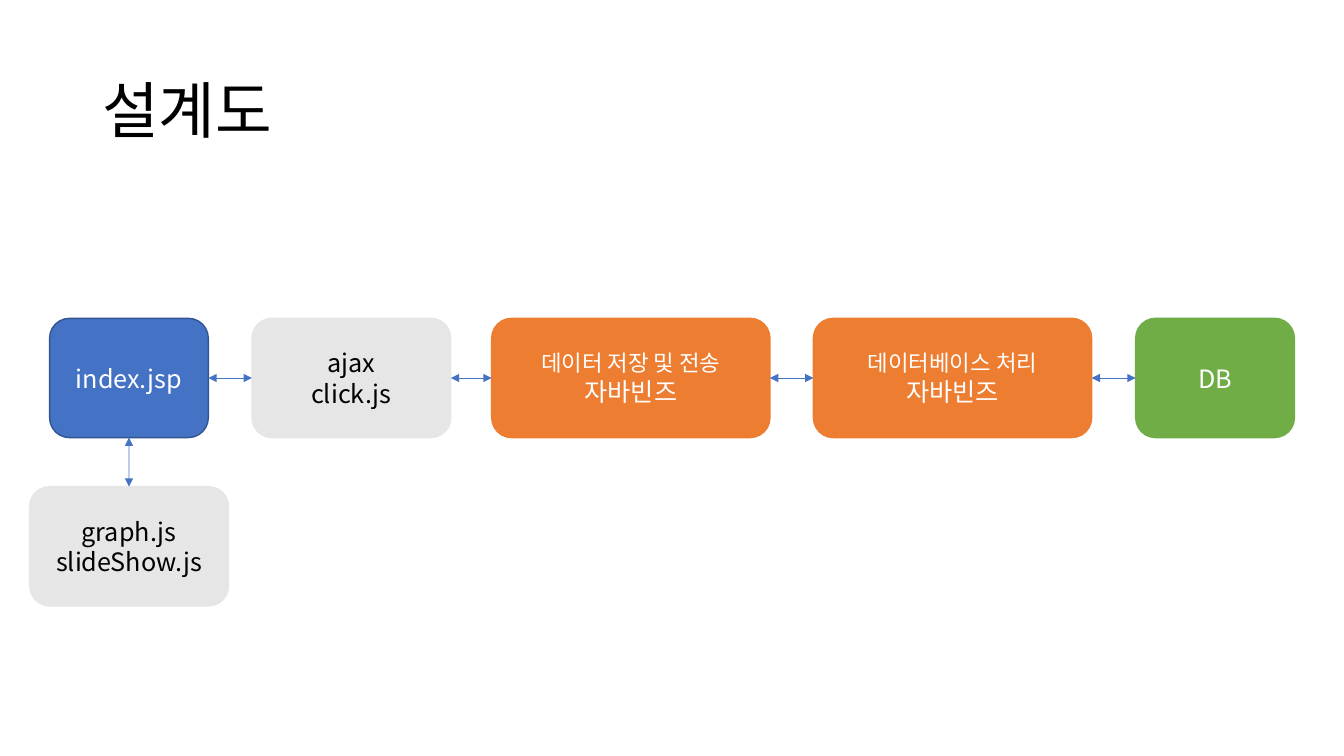
from lxml import etree
from pptx import Presentation
from pptx.dml.color import RGBColor
from pptx.enum.shapes import MSO_CONNECTOR, MSO_SHAPE
from pptx.enum.text import MSO_ANCHOR, PP_ALIGN
from pptx.oxml.ns import qn
from pptx.util import Pt

FONT = "Noto Sans CJK KR"


def rgb(value):
    return RGBColor.from_string(value)


def write(tf, lines, color, align, spacing=1.0):
    tf.word_wrap = True
    tf.vertical_anchor = MSO_ANCHOR.MIDDLE
    for i, (text, size) in enumerate(lines):
        p = tf.paragraphs[0] if i == 0 else tf.add_paragraph()
        p.alignment = align
        p.line_spacing = spacing
        r = p.add_run()
        r.text = text
        for name, value in {"size": Pt(size), "name": FONT}.items():
            setattr(r.font, name, value)
        r.font.color.rgb = rgb(color)
        # East Asian typeface for the Korean text
        etree.SubElement(r.font._element, qn("a:ea")).set("typeface", FONT)


prs = Presentation()
prs.slide_width, prs.slide_height = Pt(960), Pt(540)
s = prs.slides.add_slide(prs.slide_layouts[6])

# Title
title = s.shapes.add_textbox(Pt(66), Pt(28.75), Pt(828), Pt(104.4))
write(title.text_frame, [("설계도", 44)], "000000", PP_ALIGN.LEFT, 0.9)

# Boxes: left, top, width, fill, line, text colour, lines of text
ROW_TOP, LOWER_TOP, BOX_H = 227.4, 347.6, 85.2
boxes = [
    (35.4, ROW_TOP, 113.4, "4472C4", "325491", "FFFFFF", [("index.jsp", 18)]),
    (180, ROW_TOP, 142, "E7E6E6", "E7E6E6", "000000", [("ajax", 18), ("click.js", 18)]),
    (351.2, ROW_TOP, 198.8, "ED7D31", "ED7D31", "FFFFFF",
     [("데이터 저장 및 전송", 16), ("자바빈즈", 18)]),
    (581, ROW_TOP, 198.8, "ED7D31", "ED7D31", "FFFFFF",
     [("데이터베이스 처리", 16), ("자바빈즈", 18)]),
    (811.2, ROW_TOP, 113.4, "70AD47", "70AD47", "FFFFFF", [("DB", 18)]),
    (21.2, LOWER_TOP, 142, "E7E6E6", "E7E6E6", "000000",
     [("graph.js", 18), ("slideShow.js", 18)]),
]
shapes = []
for left, top, width, fill, line, color, lines in boxes:
    sp = s.shapes.add_shape(MSO_SHAPE.ROUNDED_RECTANGLE, Pt(left), Pt(top), Pt(width), Pt(BOX_H))
    sp.shadow.inherit = False
    sp.fill.solid()
    sp.fill.fore_color.rgb = rgb(fill)
    sp.line.color.rgb = rgb(line)
    sp.line.width = Pt(1)
    write(sp.text_frame, lines, color, PP_ALIGN.CENTER)
    shapes.append(sp)

# Two-way arrows: connection sites are 0 top, 1 left, 2 bottom, 3 right
*row, lower = shapes
links = [(a, 3, b, 1) for a, b in zip(row, row[1:])] + [(lower, 0, row[0], 2)]
for start, start_site, end, end_site in links:
    arrow = s.shapes.add_connector(MSO_CONNECTOR.STRAIGHT, 0, 0, 0, 0)
    arrow.begin_connect(start, start_site)
    arrow.end_connect(end, end_site)
    arrow.line.color.rgb = rgb("4472C4")
    arrow.line.width = Pt(0.5)
    ln = arrow.line._get_or_add_ln()
    for tag in ("a:headEnd", "a:tailEnd"):
        etree.SubElement(ln, qn(tag)).set("type", "triangle")
    etree.SubElement(arrow._element.spPr, qn("a:effectLst"))

prs.save("out.pptx")
